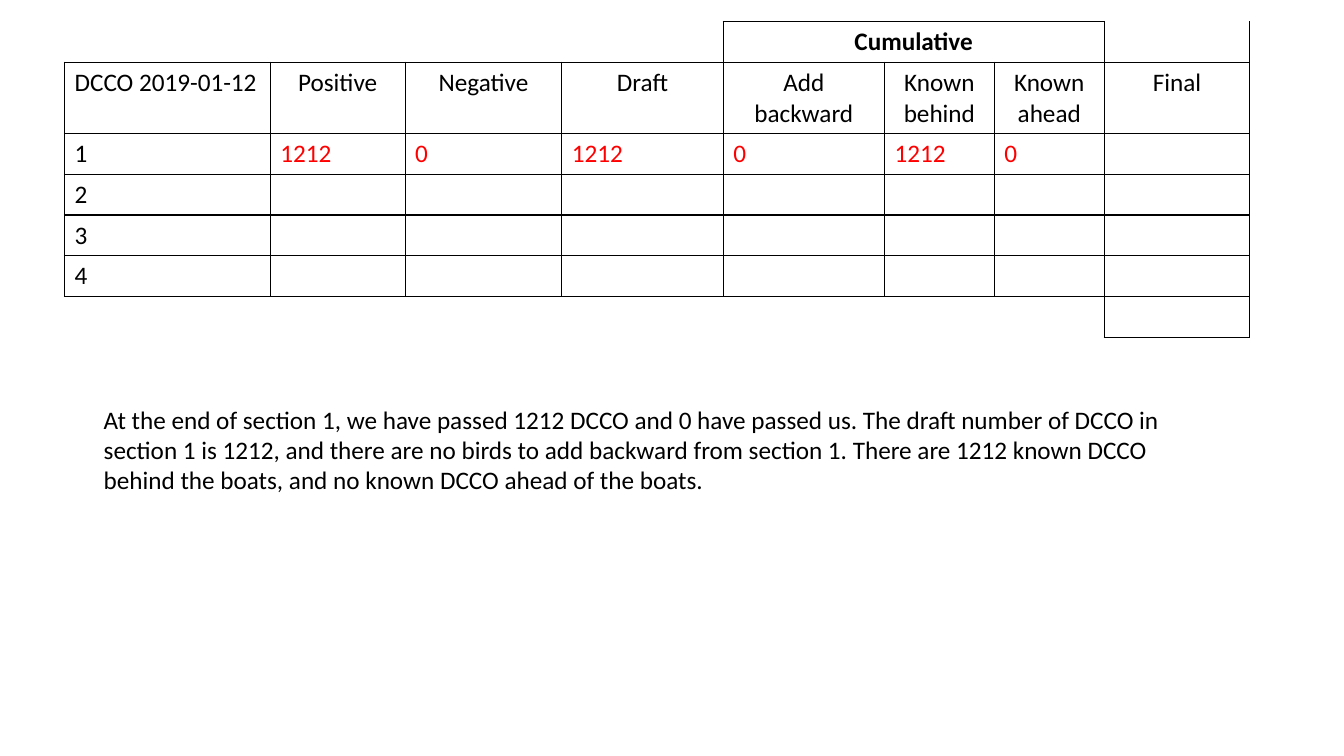
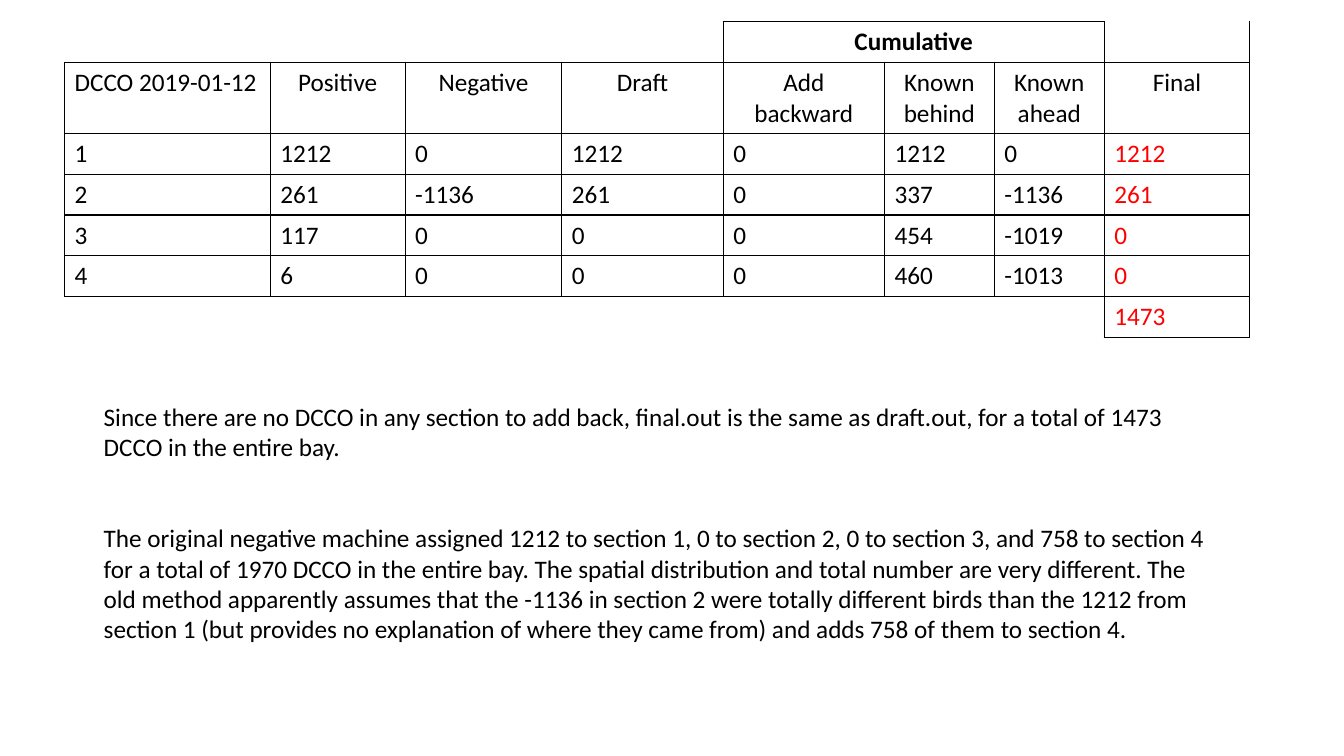
from lxml import etree
from pptx import Presentation
from pptx.dml.color import RGBColor
from pptx.enum import text
from pptx.oxml import ns
from pptx.util import Pt

COLORS = {"ink": "000000", "new": "FF0000"}
FONT, SIZE = "Calibri", 18
NO_STYLE = "{2D5ABB26-0587-4C30-8999-92F81FD0307C}"

HEADERS = ["DCCO 2019-01-12", "Positive", "Negative", "Draft",
           "Add backward", "Known behind", "Known ahead", "Final"]
COLUMN_WIDTHS = [146.9, 96.4, 112, 115.2, 115.2, 78.5, 78.5, 104]
ROW_HEIGHT, HEADER_HEIGHT = 29.2, 50.7
TABLE_LEFT, TABLE_TOP = 46.1, 15.3
NOTE_LEFT, NOTE_WIDTH, NOTE_GAP = 67, 809.3, 43.5

ROWS, COLUMNS = 7, len(HEADERS)
FINAL = COLUMNS - 1
CUMULATIVE = (4, 6)

# "sections" holds one row per section, from Positive to Final
SLIDES = [
    {
        "sections": [["1212", "0", "1212", "0", "1212", "0", ""]] + [[""] * FINAL] * 3,
        "total": "",
        "new_columns": range(1, FINAL),
        "note_top": 285.1,
        "note_height": 72.7,
        "notes": [
            "At the end of section 1, we have passed 1212 DCCO and 0 have passed us. "
            "The draft number of DCCO in section 1 is 1212, and there are no birds to add "
            "backward from section 1. There are 1212 known DCCO behind the boats, and no "
            "known DCCO ahead of the boats.",
        ],
    },
    {
        "sections": [
            ["1212", "0", "1212", "0", "1212", "0", "1212"],
            ["261", "-1136", "261", "0", "337", "-1136", "261"],
            ["117", "0", "0", "0", "454", "-1019", "0"],
            ["6", "0", "0", "0", "460", "-1013", "0"],
        ],
        "total": "1473",
        "new_columns": [FINAL],
        "note_top": 283,
        "note_height": 181.4,
        "notes": [
            "Since there are no DCCO in any section to add back, final.out is the same as "
            "draft.out, for a total of 1473 DCCO in the entire bay.",
            "The original negative machine assigned 1212 to section 1, 0 to section 2, 0 to "
            "section 3, and 758 to section 4 for a total of 1970 DCCO in the entire bay. "
            "The spatial distribution and total number are very different. The old method "
            "apparently assumes that the -1136 in section 2 were totally different birds "
            "than the 1212 from section 1 (but provides no explanation of where they came "
            "from) and adds 758 of them to section 4.",
        ],
    },
]


def add_run(paragraph, words, color="ink", bold=False):
    run = paragraph.add_run()
    run.text = words
    run.font.name, run.font.size, run.font.bold = FONT, Pt(SIZE), bold
    run.font.color.rgb = RGBColor.from_string(COLORS[color])


def is_boxed(row, column):
    """Tell whether a position belongs to the ruled part of the table."""
    if row == 0:
        return CUMULATIVE[0] <= column <= CUMULATIVE[1]
    if row == ROWS - 1:
        return column == FINAL
    return 0 < row < ROWS and 0 <= column < COLUMNS


def rule_cell(cell, row, column):
    """Draw each side that touches a boxed cell, and clear the fill."""
    properties = cell._tc.get_or_add_tcPr()
    sides = {"L": (0, -1), "R": (0, 1), "T": (-1, 0), "B": (1, 0)}
    for side, (down, across) in sides.items():
        if is_boxed(row, column) or is_boxed(row + down, column + across):
            line = etree.SubElement(properties, ns.qn(f"a:ln{side}"), w=str(Pt(1)))
            fill = etree.SubElement(line, ns.qn("a:solidFill"))
            etree.SubElement(fill, ns.qn("a:srgbClr"), val=COLORS["ink"])
    cell.fill.background()


def add_count_table(slide, content):
    heights = [ROW_HEIGHT, HEADER_HEIGHT] + [ROW_HEIGHT] * (ROWS - 2)
    frame = slide.shapes.add_table(ROWS, COLUMNS, Pt(TABLE_LEFT), Pt(TABLE_TOP),
                                   Pt(sum(COLUMN_WIDTHS)), Pt(sum(heights)))
    table = frame.table
    table.first_row = table.horz_banding = False
    table._tbl.tblPr.find(ns.qn("a:tableStyleId")).text = NO_STYLE
    for column, width in zip(table.columns, COLUMN_WIDTHS):
        column.width = Pt(width)
    for row, height in zip(table.rows, heights):
        row.height = Pt(height)

    first, last = CUMULATIVE
    table.cell(0, first).merge(table.cell(0, last))
    top = [""] * COLUMNS
    top[first] = "Cumulative"
    sections = [[str(number), *values]
                for number, values in enumerate(content["sections"], 1)]
    grid = [top, HEADERS, *sections, [""] * FINAL + [content["total"]]]
    for r, values in enumerate(grid):
        for c, value in enumerate(values):
            cell = table.cell(r, c)
            rule_cell(cell, r, c)
            if not value:
                continue
            paragraph = cell.text_frame.paragraphs[0]
            if r == 0 or (r == 1 and c > 0):
                paragraph.alignment = text.PP_ALIGN.CENTER
            is_new = r > 1 and c in content["new_columns"]
            add_run(paragraph, value, "new" if is_new else "ink", bold=r == 0)


def add_notes(slide, content):
    box = slide.shapes.add_textbox(Pt(NOTE_LEFT), Pt(content["note_top"]),
                                   Pt(NOTE_WIDTH), Pt(content["note_height"]))
    frame = box.text_frame
    frame.word_wrap = True
    for index, note in enumerate(content["notes"]):
        paragraph = frame.add_paragraph() if index else frame.paragraphs[0]
        if index:
            paragraph.space_before = Pt(NOTE_GAP)
        add_run(paragraph, note)


def main():
    presentation = Presentation()
    presentation.slide_width, presentation.slide_height = Pt(960), Pt(540)
    blank = presentation.slide_layouts[6]
    for content in SLIDES:
        slide = presentation.slides.add_slide(blank)
        add_notes(slide, content)
        add_count_table(slide, content)
    presentation.save("out.pptx")


if __name__ == "__main__":
    main()
